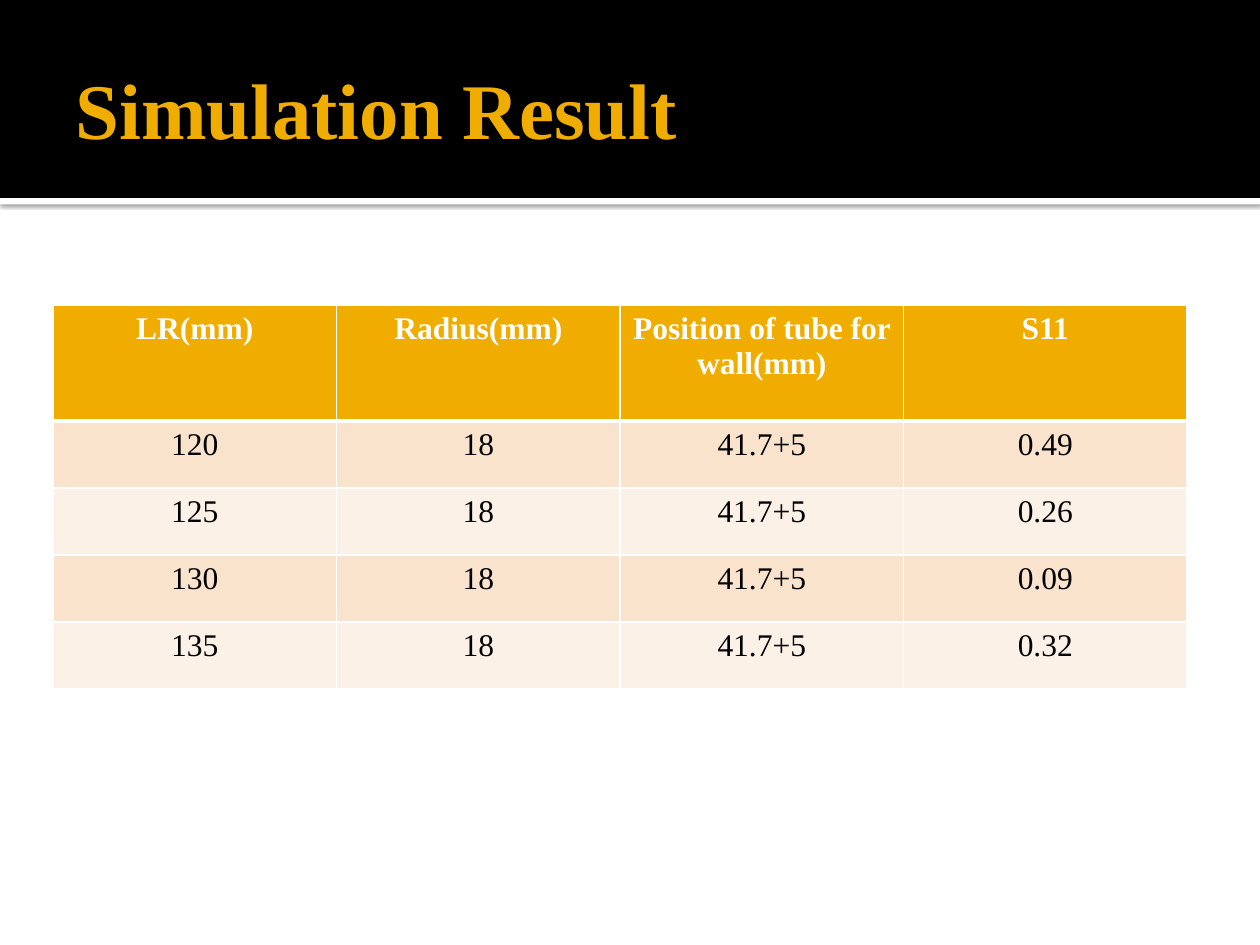
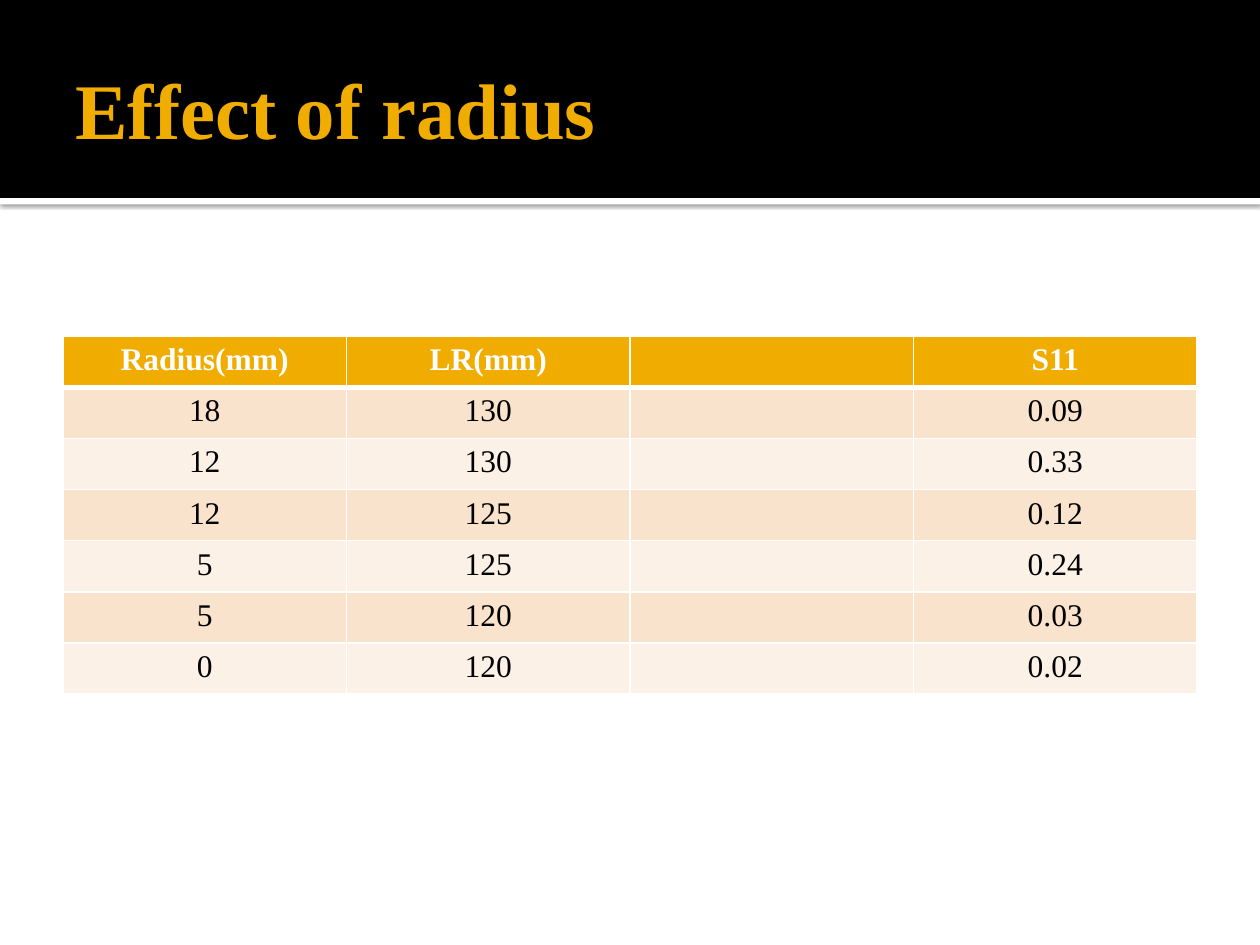
from dataclasses import dataclass

from lxml.etree import SubElement
from pptx import Presentation
from pptx.dml.color import RGBColor
from pptx.enum.shapes import MSO_SHAPE
from pptx.enum.text import MSO_ANCHOR, MSO_AUTO_SIZE, PP_ALIGN
from pptx.oxml.ns import qn
from pptx.util import Cm, Pt


@dataclass(frozen=True)
class Theme:
    font: str = "Times New Roman"
    title_size: int = 45
    cell_size: int = 18
    accent: str = "F0AD00"
    black: str = "000000"
    white: str = "FFFFFF"
    stripes: tuple = ("F9E3CC", "FCF1E7")
    thin_rule: int = 1
    thick_rule: int = 3


theme = Theme()
slide_width = 25.4
table_width = 22.86

# Content: title, table corner, header height, row height and rows
tube_position = "41.7+5"
results = [
    ("Simulation Result", (1.07, 6.15), 2.34, 1.35, [
        ("LR(mm)", "Radius(mm)", "Position of tube for wall(mm)", "S11"),
        ("120", "18", tube_position, "0.49"),
        ("125", "18", tube_position, "0.26"),
        ("130", "18", tube_position, "0.09"),
        ("135", "18", tube_position, "0.32"),
    ]),
    ("Effect of radius", (1.27, 6.78), 1.03, 1.03, [
        ("Radius(mm)", "LR(mm)", "", "S11"),
        ("18", "130", "", "0.09"),
        ("12", "130", "", "0.33"),
        ("12", "125", "", "0.12"),
        ("5", "125", "", "0.24"),
        ("5", "120", "", "0.03"),
        ("0", "120", "", "0.02"),
    ]),
]


def add_run(paragraph, text, size, color, bold):
    run = paragraph.add_run()
    run.text = text
    run.font.name = theme.font
    run.font.size = Pt(size)
    run.font.bold = bold
    run.font.color.rgb = RGBColor.from_string(color)


def add_border(cell, side, points):
    line = SubElement(cell._tc.get_or_add_tcPr(), qn(f"a:ln{side}"), w=str(Pt(points)))
    fill = SubElement(line, qn("a:solidFill"))
    SubElement(fill, qn("a:srgbClr"), val=theme.white)


prs = Presentation()
prs.slide_width, prs.slide_height = Cm(slide_width), Cm(19.05)
layout = prs.slide_layouts[5]
slides = [prs.slides.add_slide(layout) for _ in results]

# Header bands, drawn once and moved to the shared layout
bands = []
for top, height, color in [(3.99, 0.13, theme.white), (0, 3.99, theme.black)]:
    band = slides[0].shapes.add_shape(
        MSO_SHAPE.RECTANGLE, 0, Cm(top), Cm(slide_width), Cm(height))
    band.fill.solid()
    band.fill.fore_color.rgb = RGBColor.from_string(color)
    band.line.fill.background()
    band.shadow.inherit = False
    bands.append(band)

# Soft shadow below the white strip
effects = bands[0].element.spPr.find(qn("a:effectLst"))
shadow = SubElement(effects, qn("a:outerShdw"), blurRad=str(Pt(2.5)),
                    dist=str(Pt(0.8)), dir="5400000", algn="t", rotWithShape="0")
shadow_color = SubElement(shadow, qn("a:srgbClr"), val=theme.black)
SubElement(shadow_color, qn("a:alpha"), val="60000")

for position, band in enumerate(bands, start=2):
    layout.shapes.element.insert(position, band.element)

for slide, (heading, corner, header_height, row_height, rows) in zip(slides, results):
    # Title
    title = slide.shapes.title
    title.left, title.top = Cm(1.27), Cm(0.43)
    title.width, title.height = Cm(table_width), Cm(3.48)
    frame = title.text_frame
    frame.auto_size = MSO_AUTO_SIZE.NONE
    frame.vertical_anchor = MSO_ANCHOR.MIDDLE
    frame.margin_left = Cm(0.25)
    frame.margin_top = frame.margin_right = frame.margin_bottom = Cm(0.13)
    frame.paragraphs[0].alignment = PP_ALIGN.LEFT
    add_run(frame.paragraphs[0], heading, theme.title_size, theme.accent, True)

    # Table of results
    left, top = corner
    table_height = header_height + row_height * (len(rows) - 1)
    measurements = slide.shapes.add_table(
        len(rows), len(rows[0]), Cm(left), Cm(top),
        Cm(table_width), Cm(table_height)).table
    measurements.horz_banding = False

    for r, values in enumerate(rows):
        is_header = r == 0
        measurements.rows[r].height = Cm(header_height if is_header else row_height)
        rules = {
            "L": theme.thin_rule,
            "R": theme.thin_rule,
            "T": theme.thick_rule if r == 1 else theme.thin_rule,
            "B": theme.thick_rule if is_header else theme.thin_rule,
        }
        background = theme.accent if is_header else theme.stripes[(r - 1) % 2]
        text_color = theme.white if is_header else theme.black

        for c, value in enumerate(values):
            cell = measurements.cell(r, c)
            for side, points in rules.items():
                add_border(cell, side, points)
            cell.fill.solid()
            cell.fill.fore_color.rgb = RGBColor.from_string(background)
            if value:
                paragraph = cell.text_frame.paragraphs[0]
                paragraph.alignment = PP_ALIGN.CENTER
                add_run(paragraph, value, theme.cell_size, text_color, is_header)

prs.save("out.pptx")
